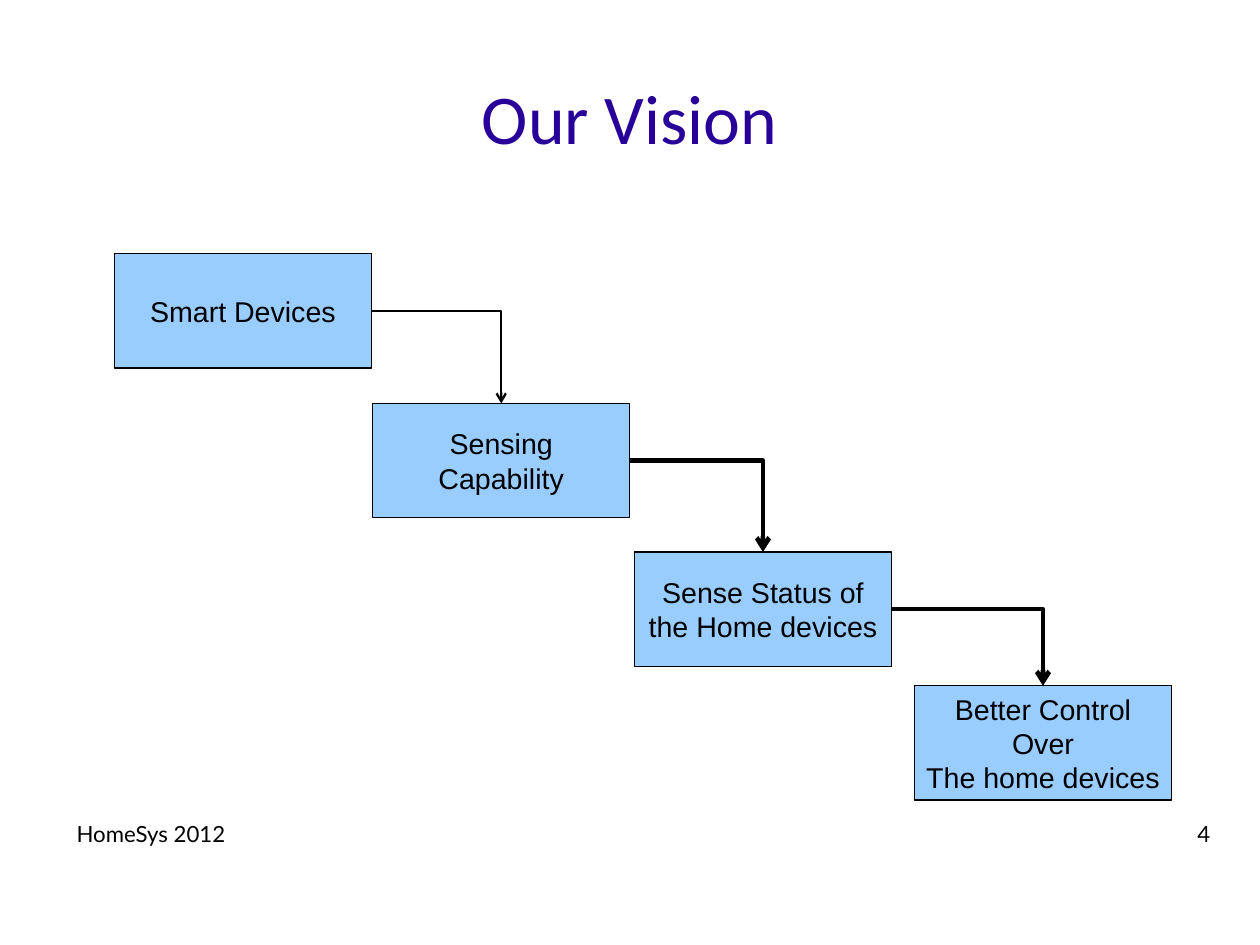
from lxml.etree import SubElement
from pptx import Presentation
from pptx.dml.color import RGBColor
from pptx.enum.shapes import MSO_CONNECTOR, MSO_SHAPE
from pptx.enum.text import MSO_ANCHOR, MSO_AUTO_SIZE, PP_ALIGN
from pptx.oxml.ns import qn
from pptx.util import Inches, Pt

BLACK = "000000"
BOX_WIDTH, BOX_HEIGHT = 2.25, 1
CM_PER_INCH = 2.54

# Left, top and text of each step
STEPS = [
    (1, 2.22, "Smart Devices"),
    (3.26, 3.53, "Sensing Capability"),
    (5.55, 4.83, "Sense Status of\nthe Home devices"),
    (8, 6, "Better Control Over\nThe home devices"),
]
ARROW_WIDTHS = [1.45, 2.89, 2.89]


def color(hex_string):
    return RGBColor.from_string(hex_string)


def set_text(shape, text, font, size, hex_string, align, anchor, margins=(0, 0)):
    frame = shape.text_frame
    frame.text = text
    frame.word_wrap = True
    frame.auto_size = MSO_AUTO_SIZE.NONE
    frame.vertical_anchor = anchor
    frame.margin_left = frame.margin_right = Inches(margins[0])
    frame.margin_top = frame.margin_bottom = Inches(margins[1])
    for paragraph in frame.paragraphs:
        paragraph.alignment = align
        for run in paragraph.runs:
            run.font.name = font
            run.font.size = Pt(size)
            run.font.color.rgb = color(hex_string)


def set_title(slide, text):
    title = slide.shapes.title
    title.left, title.top = Inches(0.55), Inches(0.38)
    title.width, title.height = Inches(9.92), Inches(1.28)
    set_text(title, text, "Calibri", 44, "280099", PP_ALIGN.CENTER, MSO_ANCHOR.MIDDLE)


def add_step(slide, left, top, text):
    box = slide.shapes.add_shape(MSO_SHAPE.RECTANGLE, Inches(left), Inches(top),
                                 Inches(BOX_WIDTH), Inches(BOX_HEIGHT))
    box.shadow.inherit = False
    box.fill.solid()
    box.fill.fore_color.rgb = color("99CCFF")
    box.line.color.rgb = color(BLACK)
    box.line.width = Pt(0)
    set_text(box, text, "Arial", 18, BLACK, PP_ALIGN.CENTER, MSO_ANCHOR.MIDDLE, (0.1, 0.05))
    return box


def add_step_arrow(slide, source, target, width):
    arrow = slide.shapes.add_connector(MSO_CONNECTOR.ELBOW, 0, 0, 0, 0)
    arrow.begin_connect(source, 3)
    arrow.end_connect(target, 0)
    arrow.line.color.rgb = color(BLACK)
    arrow.line.width = Pt(width)
    # A single bend, an open arrowhead and no shadow
    properties = arrow._element.spPr
    properties.find(qn("a:prstGeom")).set("prst", "bentConnector2")
    SubElement(properties.find(qn("a:ln")), qn("a:tailEnd"), type="arrow")
    SubElement(properties, qn("a:effectLst"))


def add_footer(slide, left, text, align):
    footer = slide.shapes.add_textbox(Inches(left), Inches(7.18), Inches(2.57), Inches(0.57))
    set_text(footer, text, "Lato", 14, BLACK, align, MSO_ANCHOR.TOP)


def main():
    # Page of 28 by 21 centimetres
    presentation = Presentation()
    presentation.slide_width = Inches(28 / CM_PER_INCH)
    presentation.slide_height = Inches(21 / CM_PER_INCH)
    slide = presentation.slides.add_slide(presentation.slide_layouts[5])

    set_title(slide, "Our Vision")

    # Staircase of steps, each joined to the next
    boxes = [add_step(slide, *step) for step in STEPS]
    for source, target, width in zip(boxes, boxes[1:], ARROW_WIDTHS):
        add_step_arrow(slide, source, target, width)

    # Footer
    add_footer(slide, 0.67, "HomeSys 2012", PP_ALIGN.LEFT)
    add_footer(slide, 8.02, "4", PP_ALIGN.RIGHT)

    presentation.save("out.pptx")


if __name__ == "__main__":
    main()
